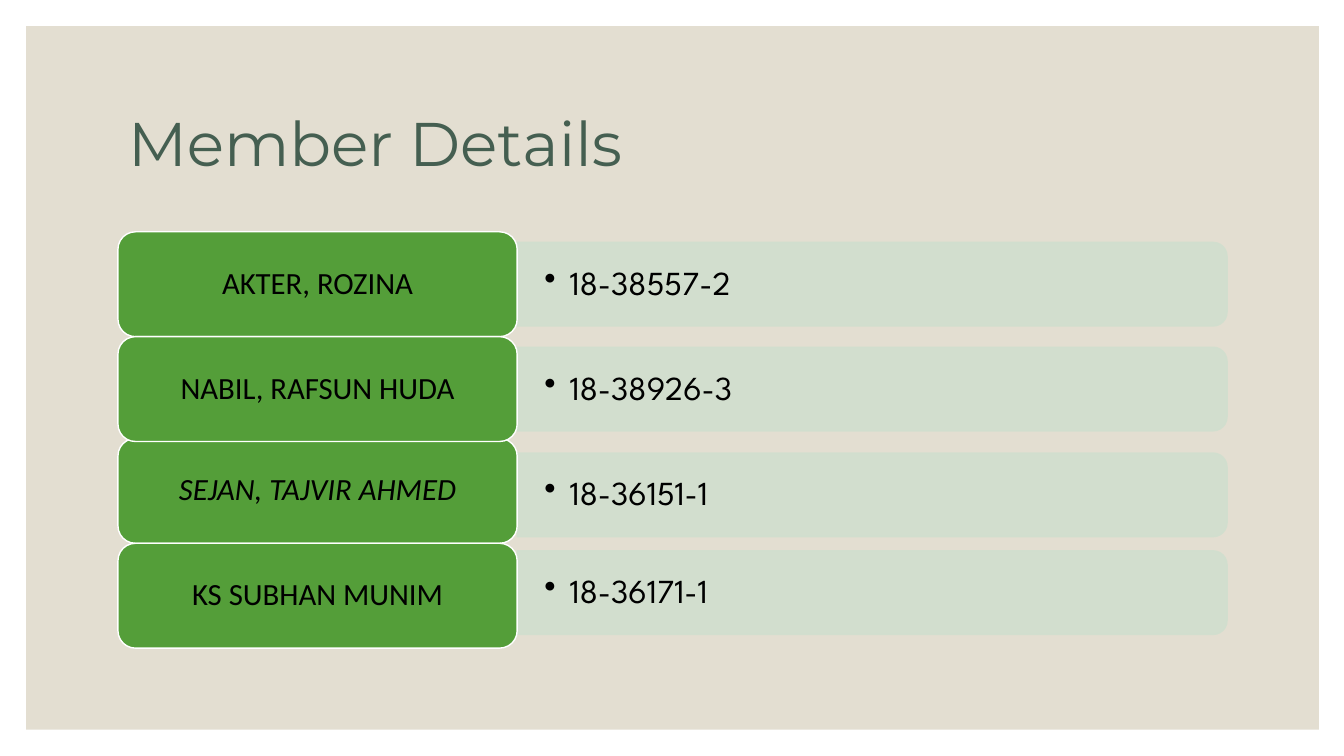
from dataclasses import dataclass
from lxml.etree import SubElement
from pptx import Presentation
from pptx.dml.color import RGBColor
from pptx.enum.shapes import MSO_SHAPE
from pptx.enum.text import MSO_ANCHOR, MSO_AUTO_SIZE, PP_ALIGN
from pptx.oxml.ns import qn
from pptx.util import Inches, Pt


@dataclass(frozen=True)
class Theme:
    panel: str = "E3DED1"
    title: str = "455F51"
    name_fill: str = "549E39"
    id_fill: str = "D1DFCE"
    outline: str = "FFFFFF"
    text: str = "000000"
    title_font: str = "Montserrat"
    name_font: str = "Calibri"
    id_font: str = "League Spartan"
    title_size: int = 44
    name_size: int = 22
    id_size: int = 24


theme = Theme()


def add_block(kind, left, top, width, height, fill, line=None):
    block = slide.shapes.add_shape(
        kind, Inches(left), Inches(top), Inches(width), Inches(height))
    block.shadow.inherit = False
    block.fill.solid()
    block.fill.fore_color.rgb = RGBColor.from_string(fill)
    if line:
        block.line.color.rgb = RGBColor.from_string(line)
        block.line.width = Pt(1)
    else:
        block.line.fill.background()
    return block


def write(shape, words, font, size, color, align, margins):
    frame = shape.text_frame
    frame.text = words
    frame.word_wrap = True
    frame.auto_size = MSO_AUTO_SIZE.NONE
    frame.vertical_anchor = MSO_ANCHOR.MIDDLE
    frame.margin_left = frame.margin_right = Inches(margins[0])
    frame.margin_top = frame.margin_bottom = Inches(margins[1])
    paragraph = frame.paragraphs[0]
    paragraph.alignment = align
    paragraph.line_spacing = 0.9
    run = paragraph.runs[0]
    run.font.name = font
    run.font.size = Pt(size)
    run.font.color.rgb = RGBColor.from_string(color)
    return paragraph


presentation = Presentation()
presentation.slide_width = Inches(13.33)
presentation.slide_height = Inches(7.5)
slide = presentation.slides.add_slide(presentation.slide_layouts[5])

panel = add_block(MSO_SHAPE.RECTANGLE, 0.26, 0.26, 12.82, 6.98, theme.panel)
slide.shapes._spTree.insert(2, panel._element)

title = slide.shapes.title
title.left, title.top = Inches(1.17), Inches(0.7)
title.width, title.height = Inches(11), Inches(1.5)
write(title, "Member Details", theme.title_font, theme.title_size,
      theme.title, PP_ALIGN.LEFT, (0.1, 0.05))

name_left, name_width, name_height = 1.17, 3.96, 1.04
id_left, id_length, id_thickness = name_left + name_width, 7.04, 0.83
id_text_height = 0.75

members = [
    ("SEJAN, TAJVIR AHMED", "18-36151-1", 4.35, 4.91, True),
    ("KS SUBHAN MUNIM", "18-36171-1", 5.39, 5.88, False),
    ("AKTER, ROZINA", "18-38557-2", 2.3, 2.82, False),
    ("NABIL, RAFSUN HUDA", "18-38926-3", 3.34, 3.86, False),
]

for name, student_id, name_top, id_middle, italic in members:
    id_bar = add_block(
        MSO_SHAPE.ROUND_2_SAME_RECTANGLE,
        id_left + (id_length - id_thickness) / 2, id_middle - id_length / 2,
        id_thickness, id_length, theme.id_fill, theme.id_fill)
    id_bar.rotation = 90
    for color in id_bar._element.spPr.iter(qn("a:srgbClr")):
        SubElement(color, qn("a:alpha"), val="90000")

    id_text = slide.shapes.add_textbox(
        Inches(id_left), Inches(id_middle - id_text_height / 2),
        Inches(7), Inches(id_text_height))
    id_line = write(id_text, student_id, theme.id_font, theme.id_size,
                    theme.text, PP_ALIGN.LEFT, (0.27, 0.14))
    properties = id_line._p.get_or_add_pPr()
    properties.set("marL", str(Inches(0.25)))
    properties.set("indent", str(Inches(-0.25)))
    SubElement(properties, qn("a:buChar"), char="•")

    name_box = add_block(MSO_SHAPE.ROUNDED_RECTANGLE, name_left, name_top,
                         name_width, name_height, theme.name_fill, theme.outline)
    name_line = write(name_box, name, theme.name_font, theme.name_size,
                      theme.text, PP_ALIGN.CENTER, (0.14, 0.1))
    name_line.runs[0].font.italic = italic

presentation.save("out.pptx")
